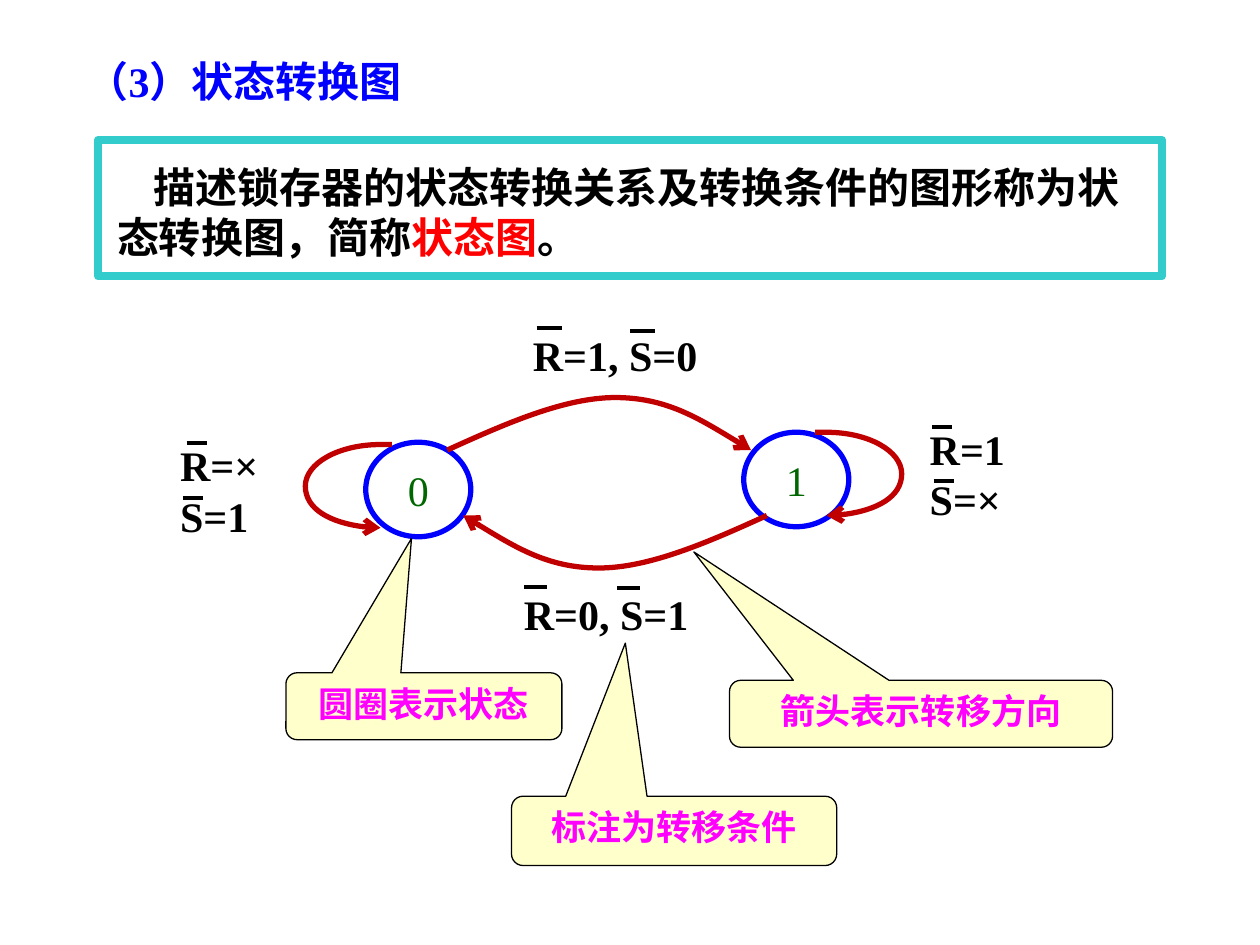
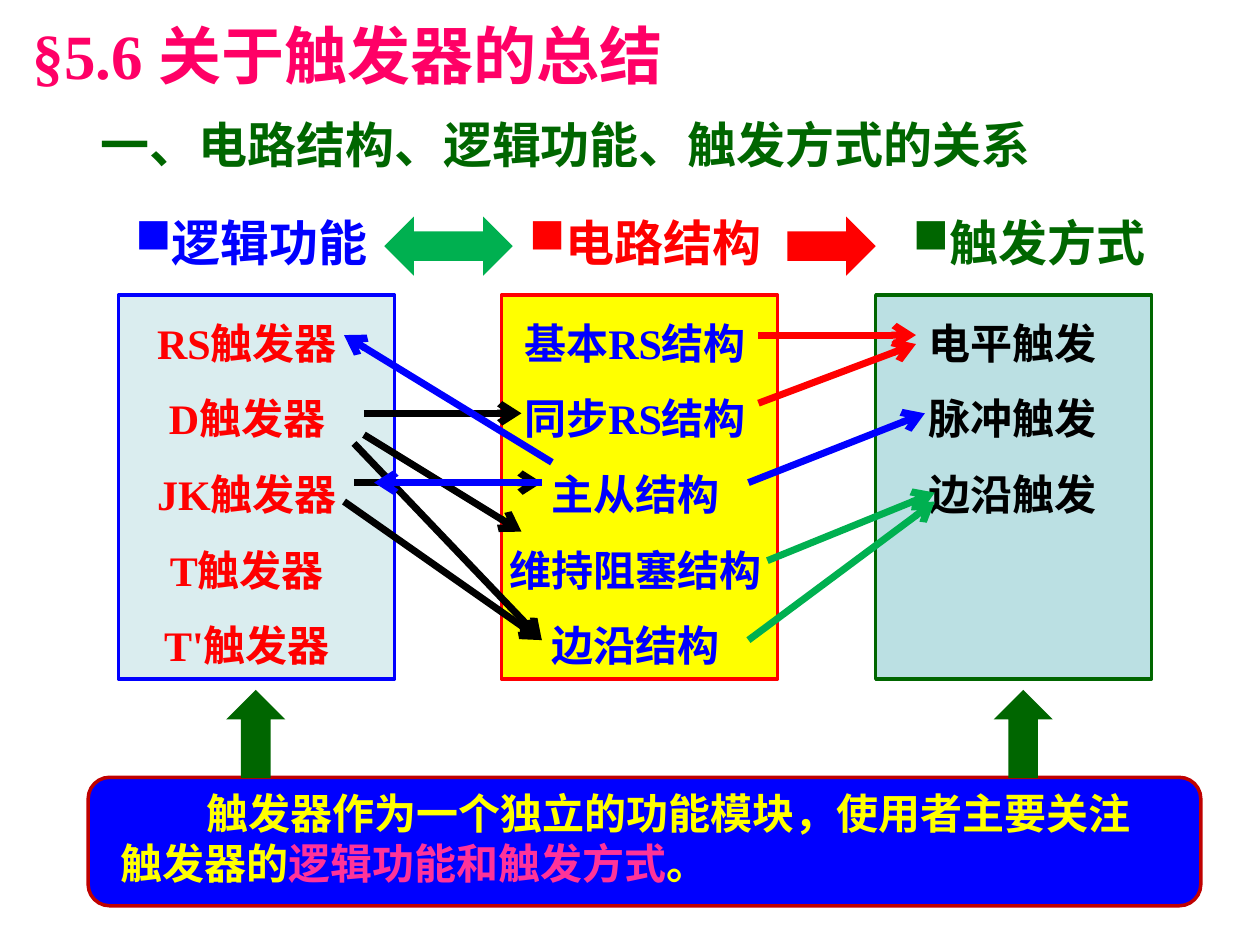
from pptx import Presentation
from pptx.dml.color import RGBColor
from pptx.enum.shapes import MSO_CONNECTOR, MSO_SHAPE
from pptx.enum.text import MSO_ANCHOR, PP_ALIGN
from pptx.oxml.ns import qn
from pptx.oxml.xmlchemy import OxmlElement
from pptx.util import Pt

HEX = {
    "blue": "0000FF", "black": "000000", "red": "FF0000", "teal": "33CCCC",
    "green": "006600", "leaf": "00B050", "brick": "C00000", "pink": "FF00FF",
    "rose": "FF0066", "blush": "FF3399", "cream": "FFFFCC", "yellow": "FFFF00",
    "ice": "DAEDEF", "mist": "BBE0E3",
}
SERIF, SANS, PLAIN = "Times New Roman", "Noto Sans CJK SC", "Arial"


def color(name):
    return RGBColor.from_string(HEX[name])


def style(run, size, tint, face=SERIF, bold=True):
    font = run.font
    font.size, font.name, font.bold = Pt(size), face, bold
    font.color.rgb = color(tint)
    asian = OxmlElement("a:ea")
    asian.set("typeface", SANS)
    run._r.rPr.find(qn("a:latin")).addnext(asian)


def text(slide, box, lines, size, tint, face=SERIF, align=None,
         space=None, wrap=True, bullet=None):
    """Text box with one uniform look for all its lines."""
    frame = slide.shapes.add_textbox(*map(Pt, box)).text_frame
    frame.word_wrap = wrap
    frame.text = lines
    for para in frame.paragraphs:
        para.alignment = align
        para.line_spacing = space
        if bullet:
            mark = OxmlElement("a:buChar")
            mark.set("char", bullet)
            para._p.get_or_add_pPr().append(mark)
        for run in para.runs:
            style(run, size, tint, face)


def note(slide, box, indent, parts, face):
    """One paragraph with a first-line indent and several colours."""
    frame = slide.shapes.add_textbox(*map(Pt, box)).text_frame
    frame.word_wrap = True
    para = frame.paragraphs[0]
    para._p.get_or_add_pPr().set("indent", str(Pt(indent)))
    for words, tint in parts:
        run = para.add_run()
        run.text = words
        style(run, 24, tint, face)


def outline(item, tint, width):
    item.line.color.rgb = color(tint)
    item.line.width = Pt(width)


def shape(slide, kind, box, fill=None, line=None, width=1):
    item = slide.shapes.add_shape(kind, *map(Pt, box))
    item.shadow.inherit = False
    if fill:
        item.fill.solid()
        item.fill.fore_color.rgb = color(fill)
    else:
        item.fill.background()
    if line:
        outline(item, line, width)
    else:
        item.line.fill.background()
    return item


def caption(item, words, size, tint, face, bold, anchor):
    frame = item.text_frame
    frame.text = words
    frame.vertical_anchor = anchor
    frame.paragraphs[0].alignment = PP_ALIGN.CENTER
    style(frame.paragraphs[0].runs[0], size, tint, face, bold)
    return frame


def head(item):
    tail = OxmlElement("a:tailEnd")
    tail.set("type", "arrow")
    item.line._get_or_add_ln().append(tail)


def line(slide, start, end, tint, width, arrow=False):
    item = slide.shapes.add_connector(
        MSO_CONNECTOR.STRAIGHT, *map(Pt, start + end))
    outline(item, tint, width)
    if arrow:
        head(item)
    item._element.spPr.append(OxmlElement("a:effectLst"))


def curve(slide, x, y, turn, steps):
    """Arrow through Bezier offsets from (x, y), scaled by turn."""
    points = [(Pt(x + turn[0] * dx), Pt(y + turn[1] * dy)) for dx, dy in steps]
    pen = slide.shapes.build_freeform(Pt(x), Pt(y))
    pen.add_line_segments(points, close=False)
    item = pen.convert_to_shape()
    legs = list(item._element.iter(qn("a:lnTo")))
    for i in range(0, len(legs), 3):
        bend = OxmlElement("a:cubicBezTo")
        legs[i].addprevious(bend)
        for leg in legs[i:i + 3]:
            bend.append(leg[0])
            leg.getparent().remove(leg)
    item.shadow.inherit = False
    item.fill.background()
    outline(item, "brick", 3)
    head(item)


ARC = [(33, -15), (67, -30), (96, -30), (125, -30), (149, -15), (173.5, 0)]
LOOP = [(2, 0), (4, 0), (6.5, 0), (30.5, 0), (49.5, 10.7), (49.5, 23.8),
        (49.5, 36.9), (30.5, 47.6), (6.5, 47.6)]


def state(slide, box, name):
    item = shape(slide, MSO_SHAPE.OVAL, box, line="blue", width=3)
    frame = caption(item, name, 24, "green", SERIF, False, MSO_ANCHOR.MIDDLE)
    frame.word_wrap = False


def label(slide, box, words, bars, size, space=None):
    """Condition text with bars of one length above its letters."""
    text(slide, box, words, 24, "black", space=space)
    for x, y in bars:
        line(slide, (x, y), (x + size, y), "black", 2.25)


def callout(slide, box, tip, words):
    item = shape(slide, MSO_SHAPE.ROUNDED_RECTANGULAR_CALLOUT, box,
                 "cream", "black", 0.75)
    item.adjustments[0], item.adjustments[1] = tip
    caption(item, words, 20, "pink", PLAIN, True, MSO_ANCHOR.TOP)


def diagram(slide):
    # Title and definition
    text(slide, (42.5, 28, 346, 36), "（3）状态转换图", 24, "blue")
    note(slide, (59.8, 88.6, 601, 65.5), 21,
         [("描述锁存器的状态转换关系及转换条件的图形称为状态转换图，简称", "black"),
          ("状态图", "red"), ("。", "black")], SANS)
    shape(slide, MSO_SHAPE.RECTANGLE, (56, 80, 608, 78), line="teal", width=4.5)

    # States and transitions
    state(slide, (209, 252.7, 60, 54), "0")
    state(slide, (425, 247, 60, 54), "1")
    curve(slide, 224, 254, (-1, 1), LOOP)
    curve(slide, 465.8, 247, (1, 1), LOOP)
    curve(slide, 255.6, 257.2, (1, 1), ARC)
    curve(slide, 438.2, 294.6, (-1, -1), ARC)

    # Conditions
    label(slide, (95.8, 247.7, 73.4, 65.5), "R=×\nS=1",
          [(106.6, 253.4), (104.4, 284.4)], 11.5)
    label(slide, (524.2, 238.3, 90.7, 65.5), "R=1\nS=×",
          [(532.8, 244), (533.5, 275)], 11.5)
    label(slide, (292.3, 326.9, 141, 42.5), "R=0, S=1",
          [(299.5, 335.5), (352.8, 336.2)], 13, 1.2)
    label(slide, (297.4, 179.3, 152.6, 39), "R=1, S=0",
          [(306.7, 187.2), (360, 189.4)], 14.4, 1.2)

    # Explanations
    callout(slide, (163.4, 384.5, 157.7, 38.2), (-0.045, -2.51), "圆圈表示状态")
    callout(slide, (416.9, 388.8, 218.9, 38.2), (-0.593, -2.42), "箭头表示转移方向")
    callout(slide, (292.3, 455, 185.8, 39.6), (-0.15, -2.71), "标注为转移条件")


PANELS = [  # panel x, fill, edge, text x, text width, text colour, align, items
    (286.6, "yellow", "red", 275.8, 174.2, "blue", PP_ALIGN.CENTER,
     ["基本RS结构", "同步RS结构", "主从结构", "维持阻塞结构", "边沿结构"]),
    (67.7, "ice", "blue", 73.4, 135.4, "red", PP_ALIGN.CENTER,
     ["RS触发器", "D触发器", "JK触发器", "T触发器", "T'触发器"]),
    (500.4, "mist", "green", 523.4, 118, "black", PP_ALIGN.JUSTIFY,
     ["电平触发", "脉冲触发", "边沿触发"]),
]
HEADS = [(281.5, 174.2, "电路结构", "red"), (61.9, 163.4, "逻辑功能", "blue"),
         (506.2, 163.4, "触发方式", "green")]
LINKS = [
    ("black", [((208, 236.2), (298, 236.2)), ((208, 248.4), (298, 303.8)),
               ((202.3, 253.4), (309.6, 365.8)),
               ((202.3, 275.8), (309.6, 275.8)),
               ((196.6, 286.6), (309.6, 365.8))]),
    ("blue", [((309.6, 275.8), (213.8, 275.8)),
              ((315.4, 264.2), (196.6, 191.5))]),
    ("red", [((433.4, 191.5), (523.4, 191.5)),
             ((433.4, 230.4), (523.4, 196.6))]),
    ("blue", [((427.7, 275.8), (528.5, 236.2))]),
    ("leaf", [((438.5, 320.4), (534.2, 281.5)),
              ((427.7, 365.8), (534.2, 286.6))]),
]


def summary(slide):
    # Panels and their lists
    for x, fill, edge, left, width, tint, align, items in PANELS:
        shape(slide, MSO_SHAPE.RECTANGLE, (x, 168.5, 157.7, 219.6),
              fill, edge, 2)
        text(slide, (left, 163.4, width, 225), "\n".join(items), 24, tint,
             align=align, space=1.5)

    # Headings
    for x, width, words, tint in HEADS:
        text(slide, (x, 118, width, 41), words, 28, tint, SANS,
             PP_ALIGN.CENTER, bullet="■")
    text(slide, (11.5, 5.8, 397, 51), "§5.6 关于触发器的总结", 36, "rose",
         wrap=False)
    text(slide, (50.4, 62, 602, 41), "一、电路结构、逻辑功能、触发方式的关系",
         28, "green")
    shape(slide, MSO_SHAPE.RIGHT_ARROW, (450, 123.8, 50.4, 33.8), "red")
    shape(slide, MSO_SHAPE.LEFT_RIGHT_ARROW, (219.6, 123.8, 73.4, 33.8), "leaf")

    # Links between list items
    for tint, pairs in LINKS:
        for start, end in pairs:
            line(slide, start, end, tint, 4, arrow=True)

    # Conclusion
    shape(slide, MSO_SHAPE.ROUNDED_RECTANGLE, (50.4, 444.2, 635.8, 73.4),
          "blue", "brick", 2)
    note(slide, (61.9, 446.4, 613.4, 65.5), 49,
         [("触发器作为一个独立的功能模块，使用者主要关注触发器的", "yellow"),
          ("逻辑功能和触发方式", "blush"), ("。", "yellow")], SERIF)
    for x in (129.3, 567.8):
        shape(slide, MSO_SHAPE.UP_ARROW, (x, 394.2, 33.8, 50.4), "green")


def main():
    deck = Presentation()
    deck.slide_width, deck.slide_height = Pt(720), Pt(540)
    for draw in (diagram, summary):
        draw(deck.slides.add_slide(deck.slide_layouts[6]))
    deck.save("out.pptx")


if __name__ == "__main__":
    main()
